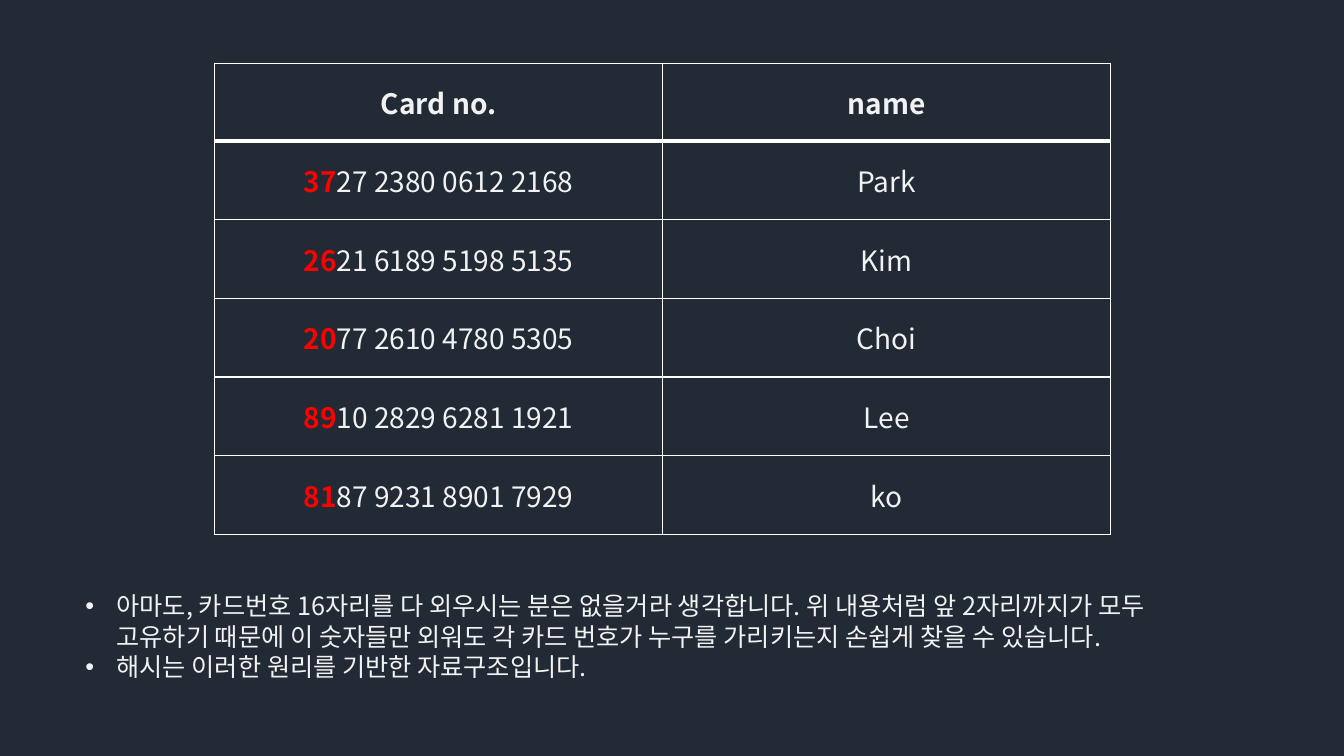
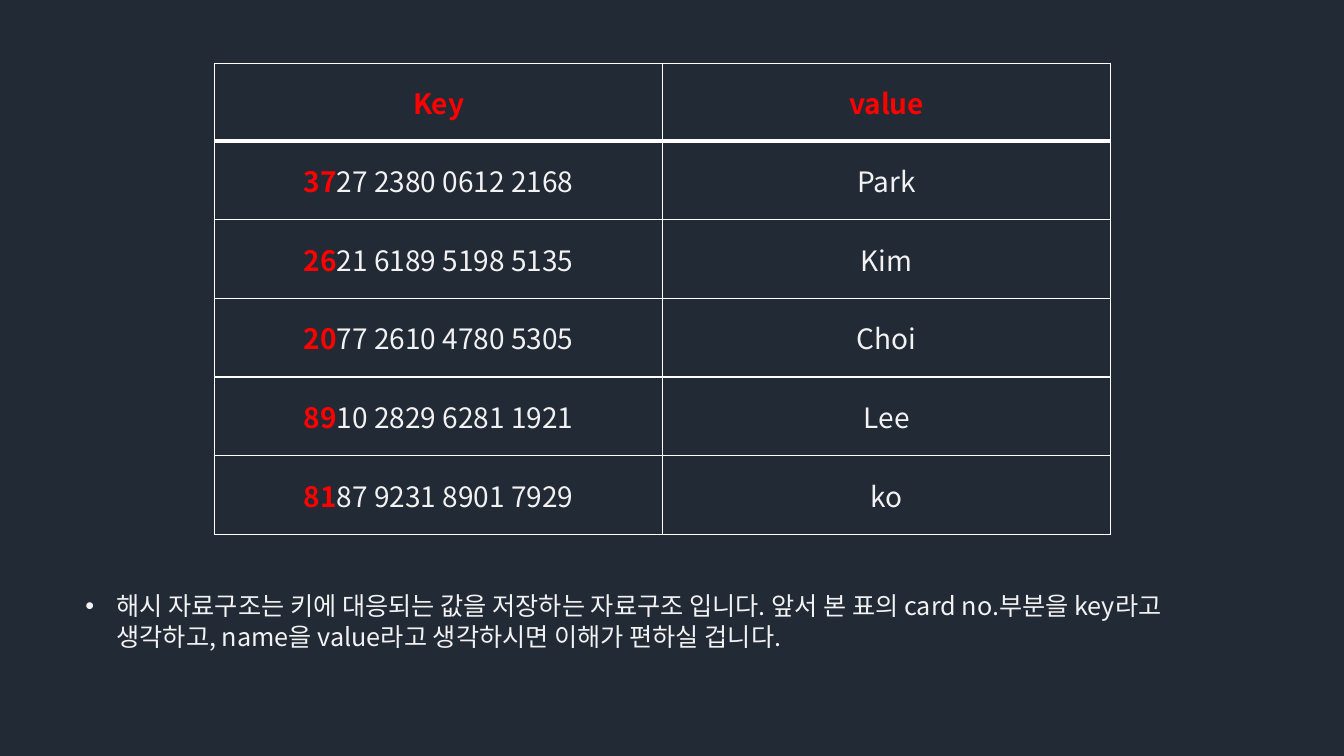
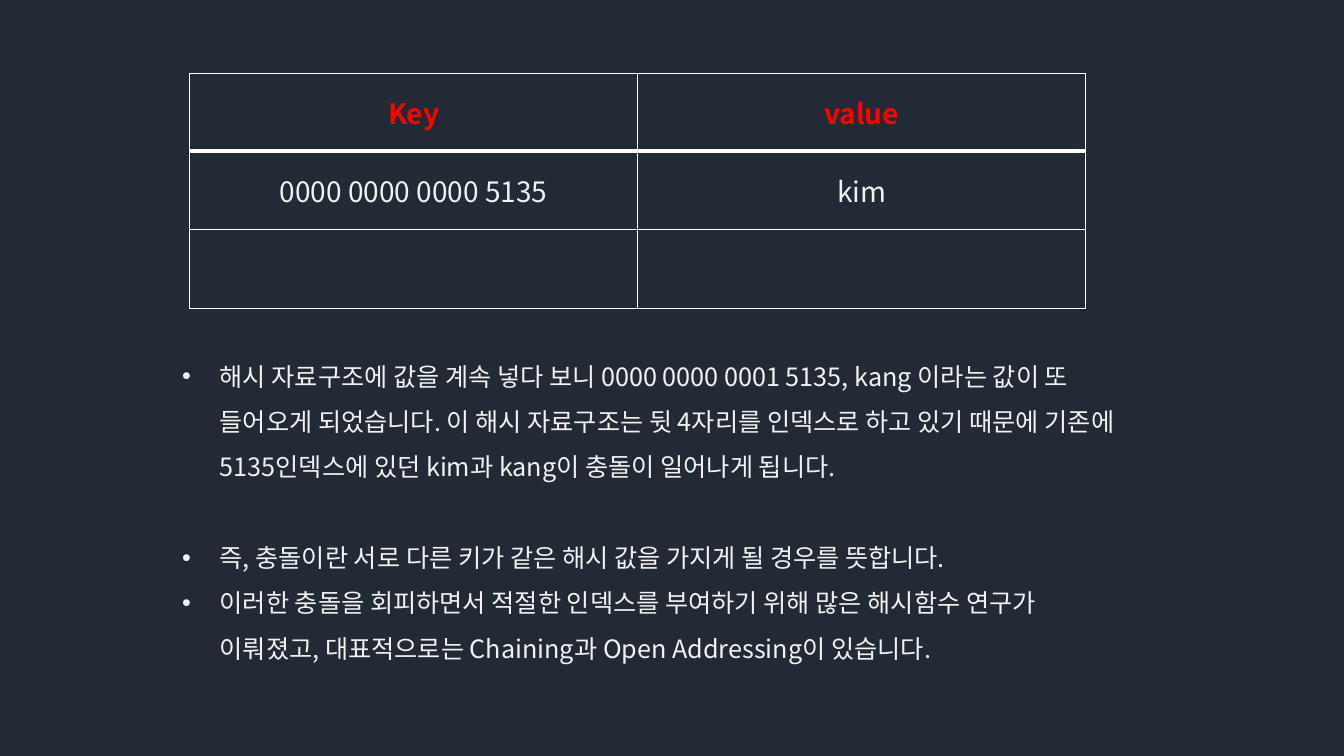
"""Build three slides that explain hash tables with card numbers."""
from dataclasses import dataclass

from lxml import etree
from pptx import Presentation
from pptx.dml.color import RGBColor
from pptx.enum.text import MSO_ANCHOR, MSO_AUTO_SIZE, PP_ALIGN
from pptx.oxml.ns import qn
from pptx.util import Cm, Pt

MIDDLE = MSO_ANCHOR.MIDDLE
CENTER = PP_ALIGN.CENTER
GROW = MSO_AUTO_SIZE.SHAPE_TO_FIT_TEXT


@dataclass(frozen=True)
class Theme:
    back: RGBColor = RGBColor(0x22, 0x2A, 0x35)
    text: RGBColor = RGBColor(0xF2, 0xF2, 0xF2)
    red: RGBColor = RGBColor(0xFF, 0x00, 0x00)
    rule: str = "FFFFFF"
    face: str = "Noto Sans CJK KR"
    cell: Pt = Pt(20)
    body: Pt = Pt(18)
    thin: Pt = Pt(1)
    thick: Pt = Pt(3)


theme = Theme()


def style(para, size, color, bold=False):
    """Set the font of a whole paragraph, Korean letters included."""
    font = para.font
    font.size, font.bold, font.name = size, bold, theme.face
    font.color.rgb = color
    props = para._p.pPr.find(qn("a:defRPr"))
    etree.SubElement(props, qn("a:ea"), typeface=theme.face)


def edge(cell, row):
    """Draw the four borders of a cell, with a thick rule under the header."""
    top = theme.thick if row == 1 else theme.thin
    low = theme.thick if row == 0 else theme.thin
    sides = {"lnL": theme.thin, "lnR": theme.thin, "lnT": top, "lnB": low}
    props = cell._tc.get_or_add_tcPr()
    for spot, (side, width) in enumerate(sides.items()):
        line = etree.Element(qn("a:" + side), w=str(width))
        fill = etree.SubElement(line, qn("a:solidFill"))
        etree.SubElement(fill, qn("a:srgbClr"), val=theme.rule)
        props.insert(spot, line)


cards = [
    ("37", "27 2380 0612 2168", "Park"),
    ("26", "21 6189 5198 5135", "Kim"),
    ("20", "77 2610 4780 5305", "Choi"),
    ("89", "10 2829 6281 1921", "Lee"),
    ("81", "87 9231 8901 7929", "ko"),
]
clash = [("", "0000 0000 0000 5135", "kim"), ("", "", "")]
wide = {"grid": (5.41, 1.6), "note": (1.9, 14.76, 29.59), "hang": 0.79,
        "space": 1, "gap": 0}
tall = {"grid": (4.78, 1.85), "note": (4.34, 8.59, 24.38), "hang": 0.95,
        "space": 1.5, "gap": 32.4}
pages = [
    (wide, ("Card no.", "name"), theme.text, cards, 3.33, [
        "아마도, 카드번호 16자리를 다 외우시는 분은 없을거라 생각합니다. "
        "위 내용처럼 앞 2자리까지가 모두 고유하기 때문에 이 숫자들만 외워도 "
        "각 카드 번호가 누구를 가리키는지 손쉽게 찾을 수 있습니다.",
        "해시는 이러한 원리를 기반한 자료구조입니다.",
    ]),
    (wide, ("Key", "value"), theme.red, cards, 1.8, [
        "해시 자료구조는 키에 대응되는 값을 저장하는 자료구조 입니다. "
        "앞서 본 표의 card no.부분을 key라고 생각하고, "
        "name을 value라고 생각하시면 이해가 편하실 겁니다.",
    ]),
    (tall, ("Key", "value"), theme.red, clash, 8.18, [
        "해시 자료구조에 값을 계속 넣다 보니 0000 0000 0001 5135, kang 이라는 "
        "값이 또 들어오게 되었습니다. 이 해시 자료구조는 뒷 4자리를 인덱스로 "
        "하고 있기 때문에 기존에 5135인덱스에 있던 kim과 kang이 충돌이 "
        "일어나게 됩니다.",
        "즉, 충돌이란 서로 다른 키가 같은 해시 값을 가지게 될 경우를 뜻합니다.",
        "이러한 충돌을 회피하면서 적절한 인덱스를 부여하기 위해 많은 해시함수 "
        "연구가 이뤄졌고, 대표적으로는 Chaining과 Open Addressing이 있습니다.",
    ]),
]

deck = Presentation()
deck.slide_width, deck.slide_height = Cm(33.87), Cm(19.05)
ground = deck.slide_master.background.fill
ground.solid()
ground.fore_color.rgb = theme.back

for plan, heads, tint, rows, height, notes in pages:
    slide = deck.slides.add_slide(deck.slide_layouts[6])

    count = len(rows) + 1
    left, top = plan["grid"]
    table = slide.shapes.add_table(
        count, 2, Cm(left), Cm(top), Cm(22.58), Cm(1.98 * count)).table
    table.first_row = table.horz_banding = False
    for y, (lead, rest, name) in enumerate([("", *heads), *rows]):
        table.rows[y].height = Cm(1.98 if y else 1.96)
        for x, words in enumerate((rest, name)):
            cell = table.cell(y, x)
            cell.vertical_anchor = MIDDLE
            cell.fill.background()
            edge(cell, y)
            para = cell.text_frame.paragraphs[0]
            para.alignment = CENTER
            style(para, theme.cell, theme.text if y else tint, y == 0)
            if lead and x == 0:
                run = para.add_run()
                run.text = lead
                run.font.bold = True
                run.font.color.rgb = theme.red
            if words:
                para.add_run().text = words

    left, top, width = plan["note"]
    frame = slide.shapes.add_textbox(
        Cm(left), Cm(top), Cm(width), Cm(height)).text_frame
    frame.word_wrap = True
    frame.auto_size = GROW
    for spot, words in enumerate(notes):
        para = frame.paragraphs[0] if spot == 0 else frame.add_paragraph()
        para.text = words
        props = para._p.get_or_add_pPr()
        props.set("marL", str(Cm(plan["hang"])))
        props.set("indent", str(-Cm(plan["hang"])))
        etree.SubElement(props, qn("a:buFont"), typeface="Arial")
        etree.SubElement(props, qn("a:buChar"), char="•")
        para.line_spacing = plan["space"]
        if spot == 1:
            para.space_before = Pt(plan["gap"])
        style(para, theme.body, theme.text)

deck.save("out.pptx")
